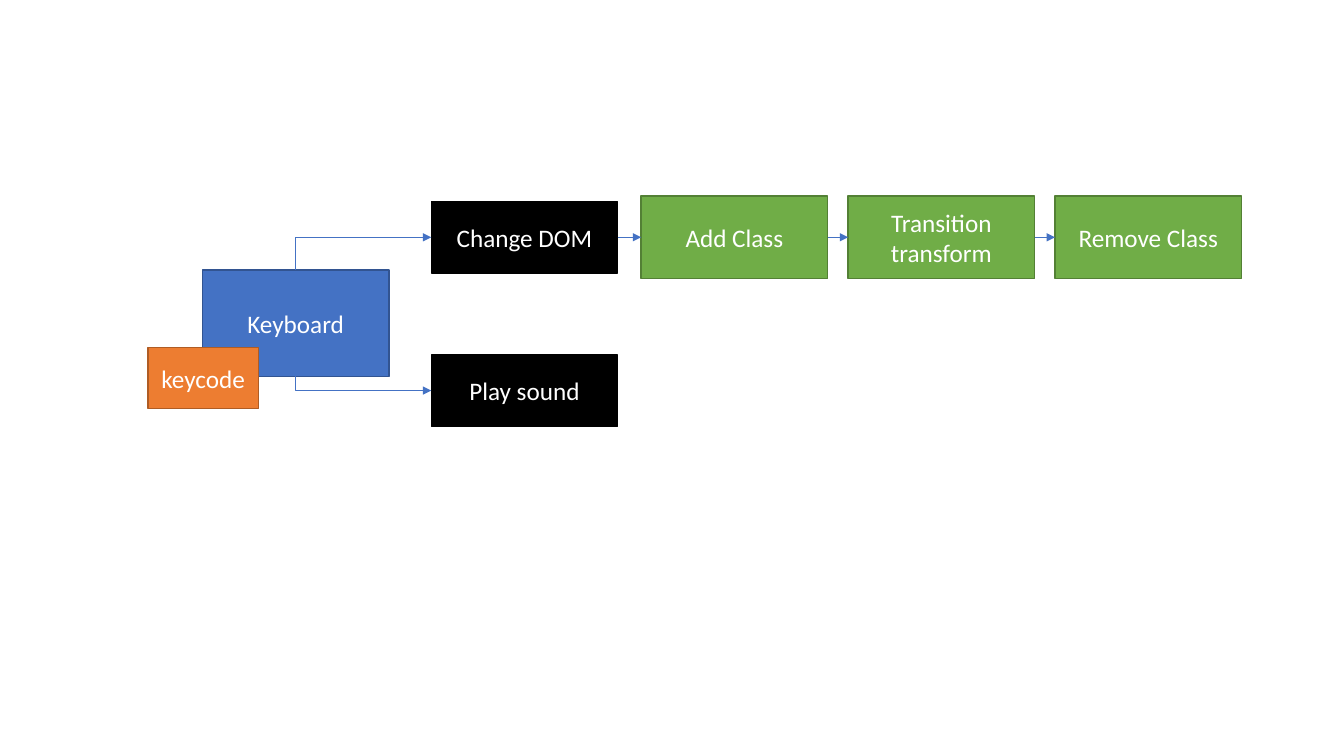
import dataclasses

import lxml.etree
import pptx
import pptx.dml.color
import pptx.enum.shapes
import pptx.enum.text
import pptx.oxml.ns
import pptx.util

Pt = pptx.util.Pt
qn = pptx.oxml.ns.qn

STEP_WIDTH = 133.2
ACTION_LEFT, ACTION_HEIGHT = 308, 51
CLASS_LEFT, CLASS_TOP, CLASS_HEIGHT, CLASS_PITCH = 458, 140, 59, 147.8
ARROW_COLOR = "4472C4"
BLUE, BLACK = (ARROW_COLOR, "325491"), ("000000", "000000")
ORANGE, GREEN = ("ED7D31", "AF5C24"), ("70AD47", "538035")
TOP, LEFT, BOTTOM, RIGHT = range(4)  # connection sites of a rectangle


@dataclasses.dataclass(frozen=True)
class Step:
    """One box of the flow; lengths are in points."""
    lines: tuple[str, ...]
    left: float
    top: float
    height: float
    colors: tuple[str, str]
    width: float = STEP_WIDTH


def rgb(value: str) -> pptx.dml.color.RGBColor:
    """Turn a hex string into a colour."""
    return pptx.dml.color.RGBColor.from_string(value)


def draw_step(slide, step: Step):
    """Draw a box with centred white text."""
    box = slide.shapes.add_shape(
        pptx.enum.shapes.MSO_SHAPE.RECTANGLE,
        Pt(step.left), Pt(step.top), Pt(step.width), Pt(step.height))
    box.shadow.inherit = False
    fill, outline = step.colors
    box.fill.solid()
    box.fill.fore_color.rgb = rgb(fill)
    box.line.color.rgb = rgb(outline)
    box.line.width = Pt(1)
    frame = box.text_frame
    frame.word_wrap = True
    frame.vertical_anchor = pptx.enum.text.MSO_ANCHOR.MIDDLE
    for index, line in enumerate(step.lines):
        paragraph = frame.add_paragraph() if index else frame.paragraphs[0]
        paragraph.alignment = pptx.enum.text.PP_ALIGN.CENTER
        run = paragraph.add_run()
        run.text = line
        run.font.name = "Calibri"
        run.font.size = Pt(18)
        run.font.color.rgb = rgb("FFFFFF")
    return box


def draw_arrow(slide, kind, source, source_site: int, target):
    """Join a side of the source to the left side of the target."""
    arrow = slide.shapes.add_connector(kind, 0, 0, 0, 0)
    arrow.begin_connect(source, source_site)
    arrow.end_connect(target, LEFT)
    arrow.line.color.rgb = rgb(ARROW_COLOR)
    arrow.line.width = Pt(0.5)
    properties = arrow._element.spPr
    line = properties.find(qn("a:ln"))
    lxml.etree.SubElement(line, qn("a:tailEnd"), type="triangle")
    lxml.etree.SubElement(properties, qn("a:effectLst"))
    return arrow


def draw_branch(slide, source, source_site: int, target) -> None:
    """Draw a one-corner arrow that leaves vertically and arrives sideways."""
    arrow = draw_arrow(slide, pptx.enum.shapes.MSO_CONNECTOR.ELBOW,
                       source, source_site, target)
    center_x = arrow.left + arrow.width // 2
    center_y = arrow.top + arrow.height // 2
    arrow.width, arrow.height = arrow.height, arrow.width
    arrow.left = center_x - arrow.width // 2
    arrow.top = center_y - arrow.height // 2
    upward = source_site == TOP
    properties = arrow._element.spPr
    frame = properties.find(qn("a:xfrm"))
    frame.set("rot", str((90 if upward else 270) * 60000))
    frame.set("flipH", "1")
    frame.set("flipV", "1" if upward else "0")
    properties.find(qn("a:prstGeom")).set("prst", "bentConnector2")


def build() -> None:
    """Build the keyboard flow slide and save it."""
    deck = pptx.Presentation()
    deck.slide_width, deck.slide_height = Pt(960), Pt(540)
    slide = deck.slides.add_slide(deck.slide_layouts[6])

    keyboard, play_sound, change_dom, _ = [draw_step(slide, step) for step in (
        Step(("Keyboard",), 144.6, 193, 75.8, BLUE),
        Step(("Play sound",), ACTION_LEFT, 253.5, ACTION_HEIGHT, BLACK),
        Step(("Change DOM",), ACTION_LEFT, 144, ACTION_HEIGHT, BLACK),
        Step(("keycode",), 105.6, 248.4, 43.3, ORANGE, width=79),
    )]
    class_lines = (("Add Class",), ("Transition", "transform"), ("Remove Class",))
    class_steps = [
        draw_step(slide, Step(lines, CLASS_LEFT + index * CLASS_PITCH,
                              CLASS_TOP, CLASS_HEIGHT, GREEN))
        for index, lines in enumerate(class_lines)]

    draw_branch(slide, keyboard, TOP, change_dom)
    draw_branch(slide, keyboard, BOTTOM, play_sound)
    for source, target in zip([change_dom, *class_steps], class_steps):
        draw_arrow(slide, pptx.enum.shapes.MSO_CONNECTOR.STRAIGHT,
                   source, RIGHT, target)
    deck.save("out.pptx")


build()
